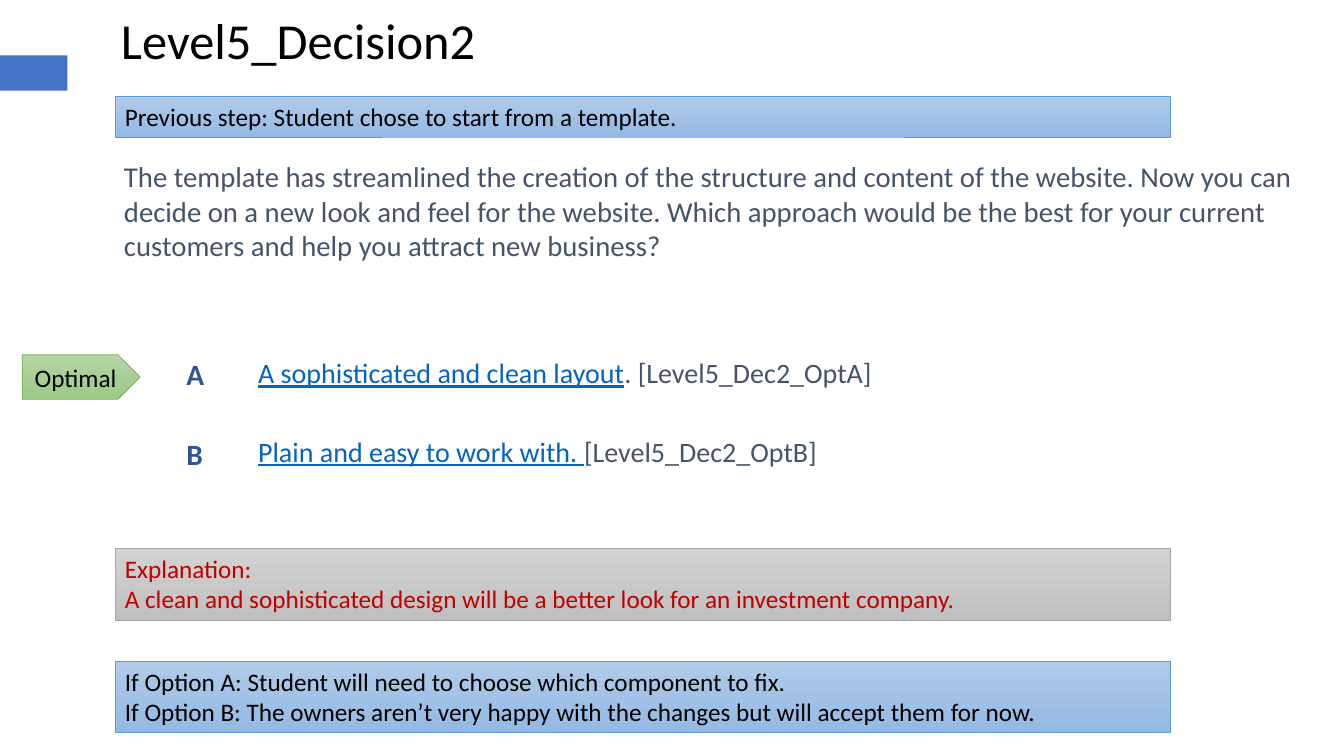
from lxml import etree
from pptx import Presentation
from pptx.dml.color import RGBColor
from pptx.enum.shapes import MSO_SHAPE as SHAPE
from pptx.enum.text import MSO_ANCHOR as ANCHOR, MSO_AUTO_SIZE as AUTO, PP_ALIGN as ALIGN
from pptx.oxml.ns import qn
from pptx.util import Inches, Pt

COLORS = {
    "black": "000000", "slate": "44546A", "link": "0563C1", "letter": "2F5597",
    "red": "C00000", "accent": "4472C4",
}
# Top colour, bottom colour and outline of each gradient panel
PANELS = {
    "blue": ("B1CBE9", "93B9E4", "5B9BD5"),
    "gray": ("D2D2D2", "C0C0C0", "A5A5A5"),
    "green": ("B5D5A7", "9CC987", "70AD47"),
}


def write(frame, paragraphs, size=18, color="black", bold=False, align=ALIGN.LEFT,
          anchor=ANCHOR.TOP, inset=(0.1, 0.05), wrap=True, gap=0, plain=False):
    """Fill a frame; a paragraph is a string or a list of (text, colour) runs."""
    frame.auto_size = AUTO.NONE
    frame.word_wrap = wrap
    frame.vertical_anchor = anchor
    frame.margin_left = frame.margin_right = Inches(inset[0])
    frame.margin_top = frame.margin_bottom = Inches(inset[1])
    for i, runs in enumerate(paragraphs):
        paragraph = frame.paragraphs[0] if i == 0 else frame.add_paragraph()
        if plain:
            props = paragraph._p.get_or_add_pPr()
            props.set("marL", "0")
            props.set("indent", "0")
            etree.SubElement(props, qn("a:buNone"))
        paragraph.alignment = align
        paragraph.space_before = Pt(gap if i else 0)
        for text, run_color in [(runs, color)] if isinstance(runs, str) else runs:
            run = paragraph.add_run()
            run.text = text
            run.font.name = "Calibri"
            run.font.size = Pt(size)
            run.font.bold = bold
            run.font.underline = run_color == "link"
            run.font.color.rgb = RGBColor.from_string(COLORS[run_color])


def add_panel(kind, box, panel):
    shape = slide.shapes.add_shape(kind, *map(Inches, box))
    shape.shadow.inherit = False
    top, bottom, outline = PANELS[panel]
    shape.fill.gradient()
    shape.fill.gradient_angle = 270
    for stop, shade in zip(shape.fill.gradient_stops, (top, bottom)):
        stop.color.rgb = RGBColor.from_string(shade)
    shape.line.color.rgb = RGBColor.from_string(outline)
    shape.line.width = Pt(0.5)
    return shape.text_frame


deck = Presentation()
deck.slide_width, deck.slide_height = Inches(13.33), Inches(7.5)
slide = deck.slides.add_slide(deck.slide_layouts[1])
WIDE = (0.13, 0.07)

# Accent tab at the left edge
tab = slide.shapes.add_shape(SHAPE.RECTANGLE, 0, Inches(0.55), Inches(0.67), Inches(0.35))
tab.shadow.inherit = False
tab.fill.solid()
tab.fill.fore_color.rgb = RGBColor.from_string(COLORS["accent"])
tab.line.fill.background()

# Title
title = slide.shapes.title
title.left, title.top, title.width, title.height = map(Inches, (1.1, 0.04, 3.72, 0.71))
write(title.text_frame, ["Level5_Decision2"], size=36, wrap=False)

# Question
question = slide.shapes.add_textbox(*map(Inches, (1.1, 1.51, 12.23, 1.6)))
write(question.text_frame, [
    "The template has streamlined the creation of the structure and content of the website. "
    "Now you can decide on a new look and feel for the website. Which approach would be the "
    "best for your current customers and help you attract new business?",
], size=20.5, color="slate", inset=WIDE)

# Options with their letters
options = slide.placeholders[1]
options.left, options.top, options.width, options.height = map(Inches, (2.43, 3.46, 9.36, 1.43))
write(options.text_frame, [
    [("A sophisticated and clean layout", "link"), (". [Level5_Dec2_OptA]", "slate")],
    [("Plain and easy to work with. ", "link"), ("[Level5_Dec2_OptB]", "slate")],
], size=20, inset=WIDE, gap=32, plain=True)

for row, letter in enumerate("AB"):
    label = slide.shapes.add_textbox(*map(Inches, (1.72, 3.46 + 0.8 * row, 0.7, 0.5)))
    write(label.text_frame, [letter], size=21, color="letter", bold=True, inset=WIDE)

# Full-width panels: previous step, explanation, outcomes
for top, height, panel, color, lines in [
    (0.96, 0.4, "blue", "black", ["Previous step: Student chose to start from a template."]),
    (5.44, 0.71, "gray", "red", [
        "Explanation:",
        "A clean and sophisticated design will be a better look for an investment company."]),
    (6.56, 0.71, "blue", "black", [
        "If Option A: Student will need to choose which component to fix.",
        "If Option B: The owners aren’t very happy with the changes but will accept them "
        "for now."]),
]:
    write(add_panel(SHAPE.RECTANGLE, (1.14, top, 10.47, height), panel), lines, color=color)

# Marker on the best option
optimal = add_panel(SHAPE.PENTAGON, (0.22, 3.52, 1.17, 0.44), "green")
write(optimal, ["Optimal"], align=ALIGN.CENTER, anchor=ANCHOR.MIDDLE)

deck.save("out.pptx")
